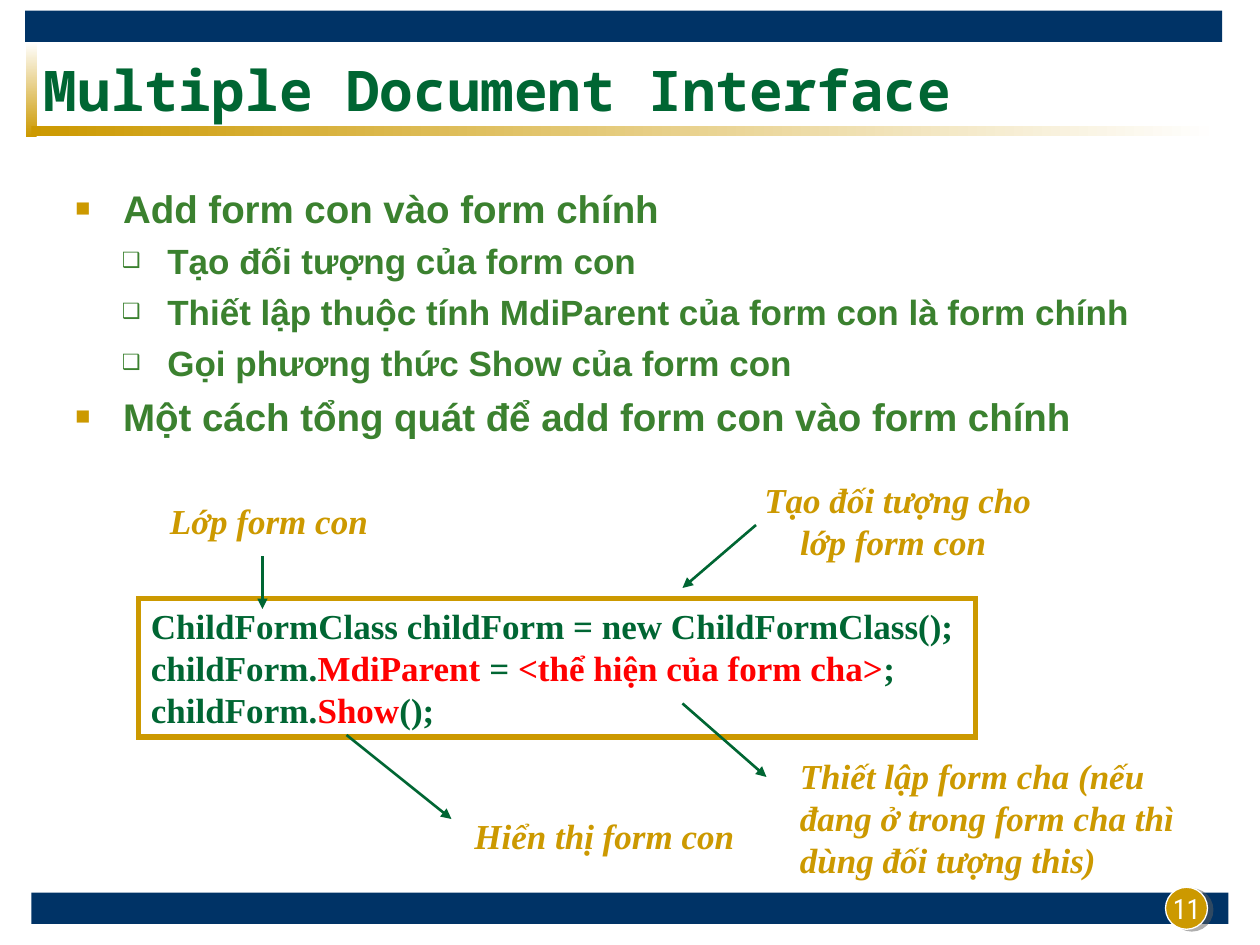
from dataclasses import dataclass

from lxml.etree import SubElement
from pptx import Presentation
from pptx.dml.color import RGBColor
from pptx.enum.shapes import MSO_CONNECTOR, MSO_SHAPE
from pptx.enum.text import MSO_ANCHOR, PP_ALIGN
from pptx.oxml.ns import qn
from pptx.util import Inches, Pt

COLUMNS, ROWS = 120, 90
WIDTH, HEIGHT = Inches(10), Inches(7.5)
NAVY, GOLD, GREEN, LEAF = "003366", "CC9900", "006633", "3B812F"
WHITE, RED, GRAY = "FFFFFF", "FF0000", "5F5F5F"
SERIF = "Times New Roman"


@dataclass
class Area:
    column: float
    row: float
    columns: float
    rows: float

    def lengths(self) -> tuple:
        return (across(self.column), down(self.row),
                across(self.columns), down(self.rows))


@dataclass
class Level:
    size: float
    indent: float
    hanging: float
    before: float
    bullet: str
    bullet_color: str
    bullet_percent: int


@dataclass
class Note:
    text: str
    area: Area
    align: PP_ALIGN = PP_ALIGN.LEFT


@dataclass
class Arrow:
    start: tuple
    end: tuple


def across(columns: float) -> int:
    return round(WIDTH * columns / COLUMNS)


def down(rows: float) -> int:
    return round(HEIGHT * rows / ROWS)


def color(value: str) -> RGBColor:
    return RGBColor.from_string(value)


def add_block(page, area: Area, kind=MSO_SHAPE.RECTANGLE, fill=None, line=None, weight=1):
    block = page.shapes.add_shape(kind, *area.lengths())
    block.shadow.inherit = False
    if fill:
        block.fill.solid()
        block.fill.fore_color.rgb = color(fill)
    else:
        block.fill.background()
    if line:
        block.line.color.rgb = color(line)
        block.line.width = Pt(weight)
        SubElement(block.line._get_or_add_ln(), qn("a:miter"), lim="800000")
    else:
        block.line.fill.background()
    return block


def add_fade(page, area: Area, first: str, last: str, angle: int) -> None:
    block = add_block(page, area)
    block.fill.gradient()
    block.fill.gradient_angle = angle
    for stop, value in zip(block.fill.gradient_stops, (first, last)):
        stop.color.rgb = color(value)


def add_badge(page, area: Area) -> None:
    badge = add_block(page, area, MSO_SHAPE.OVAL, GOLD, WHITE, 0.75)
    effects = badge._element.spPr.find(qn("a:effectLst"))
    shadow = SubElement(effects, qn("a:outerShdw"), blurRad="0", dist=str(Pt(3.2)),
                        dir=str(18 * 60000), algn="ctr", rotWithShape="0")
    tint = SubElement(shadow, qn("a:srgbClr"), val=GRAY)
    SubElement(tint, qn("a:alpha"), val="50000")


def add_span(para, text: str, *, size, font, fill, bold=True, italic=False) -> None:
    span = para.add_run()
    span.text = text
    span.font.size = Pt(size)
    span.font.name = font
    span.font.bold = bold
    span.font.italic = italic
    span.font.color.rgb = color(fill)


def add_text(page, area: Area, text: str, *, align=PP_ALIGN.LEFT,
             anchor=MSO_ANCHOR.TOP, **style) -> None:
    frame = page.shapes.add_textbox(*area.lengths()).text_frame
    frame.word_wrap = True
    frame.vertical_anchor = anchor
    para = frame.paragraphs[0]
    para.alignment = align
    add_span(para, text, **style)


def set_bullet(para, level: Level) -> None:
    properties = para._p.get_or_add_pPr()
    properties.set("marL", str(Inches(level.indent)))
    properties.set("indent", str(-Inches(level.hanging)))
    SubElement(SubElement(properties, qn("a:buClr")), qn("a:srgbClr"), val=level.bullet_color)
    SubElement(properties, qn("a:buSzPct"), val=str(level.bullet_percent * 1000))
    SubElement(properties, qn("a:buFont"), typeface="Arial")
    SubElement(properties, qn("a:buChar"), char=level.bullet)


def add_outline(page, area: Area, items: list) -> None:
    frame = page.shapes.add_textbox(*area.lengths()).text_frame
    frame.word_wrap = True
    for index, (level, text) in enumerate(items):
        para = frame.add_paragraph() if index else frame.paragraphs[0]
        set_bullet(para, level)
        if index:
            para.space_before = Pt(level.before)
        add_span(para, text, size=level.size, font="Arial", fill=LEAF)


def add_code(page, area: Area, lines: list) -> None:
    frame = add_block(page, area, line=GOLD, weight=3).text_frame
    frame.word_wrap = False
    frame.vertical_anchor = MSO_ANCHOR.MIDDLE
    for index, parts in enumerate(lines):
        para = frame.add_paragraph() if index else frame.paragraphs[0]
        para.alignment = PP_ALIGN.LEFT
        for text, fill in parts:
            add_span(para, text, size=20, font=SERIF, fill=fill)


def add_arrow(page, arrow: Arrow) -> None:
    (left, top), (right, bottom) = arrow.start, arrow.end
    connector = page.shapes.add_connector(
        MSO_CONNECTOR.STRAIGHT, across(left), down(top), across(right), down(bottom))
    connector.line.color.rgb = color(GREEN)
    connector.line.width = Pt(1.5)
    SubElement(connector.line._get_or_add_ln(), qn("a:tailEnd"), type="triangle")
    SubElement(connector._element.spPr, qn("a:effectLst"))


TOPIC = Level(22, 0.38, 0.38, 5.5, "■", GOLD, 65)
STEP = Level(20, 0.73, 0.36, 5, "❑", LEAF, 60)
OUTLINE = [
    (TOPIC, "Add form con vào form chính"),
    (STEP, "Tạo đối tượng của form con"),
    (STEP, "Thiết lập thuộc tính MdiParent của form con là form chính"),
    (STEP, "Gọi phương thức Show của form con"),
    (TOPIC, "Một cách tổng quát để add form con vào form chính"),
]
CODE = [
    [("ChildFormClass childForm = new ChildFormClass();", GREEN)],
    [("childForm.", GREEN), ("MdiParent", RED), (" = ", GREEN),
     ("<thể hiện của form cha>", RED), (";", GREEN)],
    [("childForm.", GREEN), ("Show", RED), ("();", GREEN)],
]
NOTES = [
    Note("Lớp form con", Area(15, 47, 22, 5.25)),
    Note("Thiết lập form cha (nếu đang ở trong form cha thì dùng đối tượng this)",
         Area(75, 71.3, 42, 13.2)),
    Note("Hiển thị form con", Area(44, 77, 28, 5.25)),
    Note("Tạo đối tượng cho lớp form con ", Area(71, 45, 29, 9.25), PP_ALIGN.CENTER),
]
ARROWS = [
    Arrow((25, 53), (25, 58)),
    Arrow((65, 67), (73, 74)),
    Arrow((33, 70), (43, 78)),
    Arrow((72, 50), (65, 56)),
]


def main() -> None:
    deck = Presentation()
    deck.slide_width, deck.slide_height = WIDTH, HEIGHT
    page = deck.slides.add_slide(deck.slide_layouts[6])
    add_block(page, Area(3, 85, 114, 3), fill=NAVY)
    add_block(page, Area(2.4, 1, 114, 3), fill=NAVY)
    add_fade(page, Area(2.5, 4, 1, 9), WHITE, GOLD, 270)
    add_fade(page, Area(3, 12, 113, 1), GOLD, WHITE, 0)
    add_badge(page, Area(111, 84.5, 4, 4))
    add_text(page, Area(87.5, 82.75, 28, 6), "11", align=PP_ALIGN.RIGHT,
             anchor=MSO_ANCHOR.BOTTOM, size=16, font="Roboto Condensed", fill=WHITE, bold=False)
    add_text(page, Area(3, 5, 108, 7), "Multiple Document Interface",
             anchor=MSO_ANCHOR.MIDDLE, size=32, font="Noto Sans Mono", fill=GREEN)
    add_outline(page, Area(6, 17, 108, 64), OUTLINE)
    add_code(page, Area(13.2, 57, 79.7, 13.2), CODE)
    for note in NOTES:
        add_text(page, note.area, note.text, align=note.align,
                 size=20, font=SERIF, fill=GOLD, italic=True)
    for arrow in ARROWS:
        add_arrow(page, arrow)
    deck.save("out.pptx")


if __name__ == "__main__":
    main()
